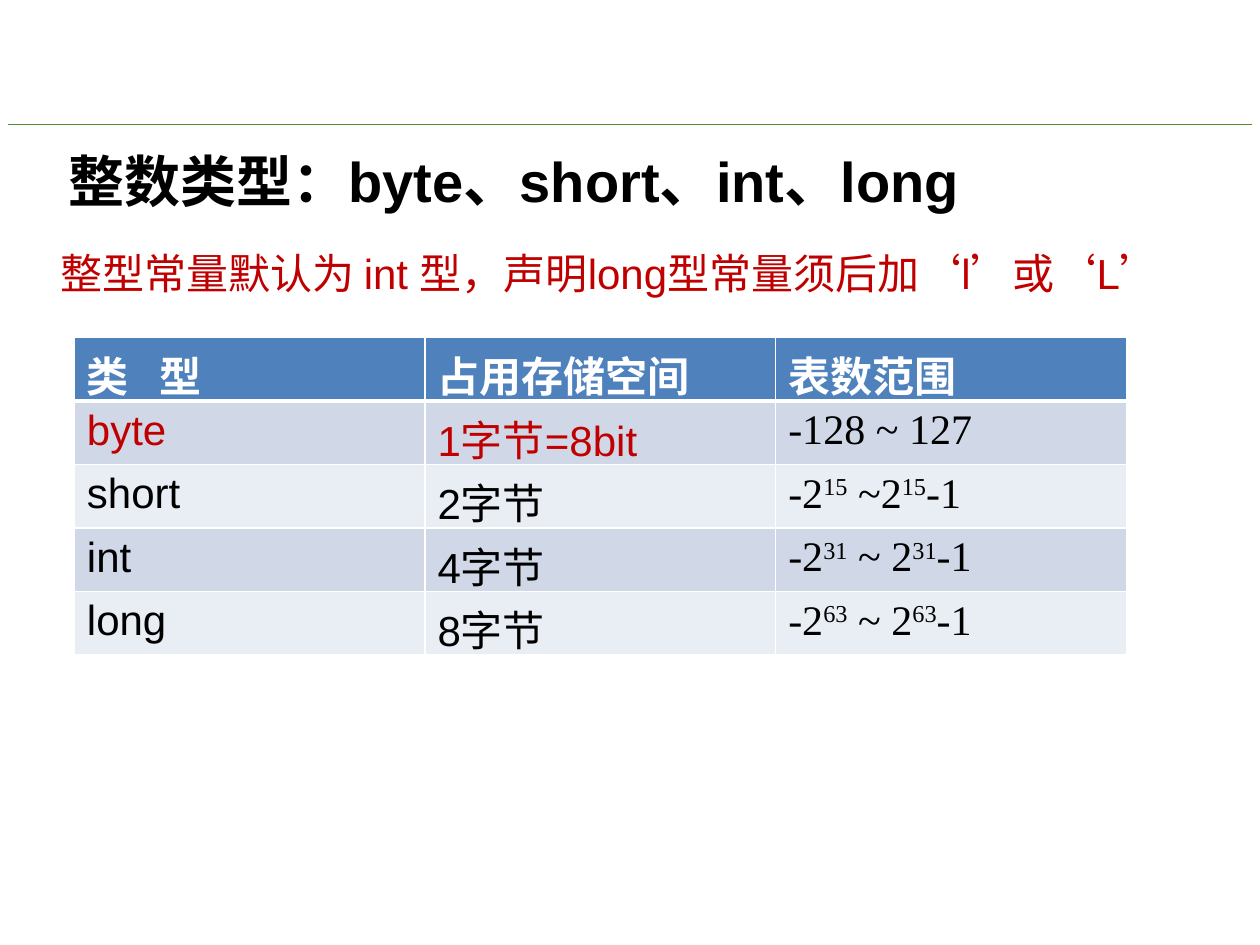
import dataclasses

import lxml.etree
import pptx
import pptx.dml.color
import pptx.enum.shapes
import pptx.enum.text
import pptx.oxml.ns
import pptx.util


@dataclasses.dataclass(frozen=True)
class Theme:
    """Colours, typefaces and type sizes of the slide."""

    rule: str = "538C2E"
    ink: str = "000000"
    accent: str = "C00000"
    white: str = "FFFFFF"
    header: str = "4F81BD"
    bands: tuple = ("D0D8E8", "E9EDF4")
    sans: str = "Arial"
    serif: str = "Times New Roman"
    title_size: int = 32
    text_size: int = 24


THEME = Theme()
WIDTH = pptx.util.Inches(10)
HEIGHT = pptx.util.Inches(7.5)
HEADINGS = ([("类", {}), (" ", {"spc": "1200"}), ("型", {})], "占用存储空间", "表数范围")
TYPES = (("byte", "1字节=8bit"), ("short", "2字节"), ("int", "4字节"), ("long", "8字节"))


def color(value):
    """Return the RGB colour for a hex value."""
    return pptx.dml.color.RGBColor.from_string(value)


def write(paragraph, content, size, face, ink, bold=False):
    """Fill a paragraph with plain text or with (text, run attributes) pairs."""
    font = paragraph.font
    font.size, font.name, font.bold = pptx.util.Pt(size), face, bold
    font.color.rgb = color(ink)
    pieces = [(content, {})] if isinstance(content, str) else content
    for text, attributes in pieces:
        run = paragraph.add_run()
        run.text = text
        properties = run.font._element
        for name, value in attributes.items():
            properties.set(name, value)


def add_rule(slide, y):
    """Draw the thin horizontal rule across the slide."""
    margin = round(WIDTH * 0.006)
    rule = slide.shapes.add_connector(
        pptx.enum.shapes.MSO_CONNECTOR.STRAIGHT, margin, y, WIDTH - margin, y
    )
    rule.line.color.rgb = color(THEME.rule)
    rule.line.width = pptx.util.Pt(0.5)
    lxml.etree.SubElement(rule._element.spPr, pptx.oxml.ns.qn("a:effectLst"))


def add_text(slide, left, top, width, height, content, size, ink, bold, anchor):
    """Add a wrapped text box whose place is given in inches."""
    place = [pptx.util.Inches(value) for value in (left, top, width, height)]
    frame = slide.shapes.add_textbox(*place).text_frame
    frame.word_wrap = True
    frame.margin_left = frame.margin_right = 0
    frame.vertical_anchor = anchor
    paragraph = frame.paragraphs[0]
    paragraph.line_spacing = 0.9
    write(paragraph, content, size, THEME.sans, ink, bold)


def set_borders(cell, top, bottom):
    """Draw white borders, with the top and bottom widths in points."""
    properties = cell._tc.get_or_add_tcPr()
    widths = {"lnL": 1, "lnR": 1, "lnT": top, "lnB": bottom}
    for position, (side, width) in enumerate(widths.items()):
        line = lxml.etree.Element(
            pptx.oxml.ns.qn(f"a:{side}"), w=str(pptx.util.Pt(width))
        )
        fill = lxml.etree.SubElement(line, pptx.oxml.ns.qn("a:solidFill"))
        lxml.etree.SubElement(fill, pptx.oxml.ns.qn("a:srgbClr"), val=THEME.white)
        properties.insert(position, line)


def power_range(exponent, separator):
    """Return the range of a signed integer with raised exponents."""
    raised = (str(exponent), {"baseline": "30000"})
    return [("-2", {}), raised, (separator + "2", {}), raised, ("-1", {})]


def add_type_table(slide):
    """Add the table of integer types, their storage and their ranges."""
    ranges = (
        "-128 ~ 127",
        power_range(15, " ~"),
        power_range(31, " ~ "),
        power_range(63, " ~ "),
    )
    rows = [HEADINGS] + [(*kind, span) for kind, span in zip(TYPES, ranges)]
    place = [pptx.util.Inches(value) for value in (0.59, 2.68, 8.35, 2.52)]
    table = slide.shapes.add_table(len(rows), len(HEADINGS), *place).table
    table.first_row = table.horz_banding = False
    for row, contents in enumerate(rows):
        is_header = row == 0
        for column, content in enumerate(contents):
            is_range = column == len(HEADINGS) - 1
            face = THEME.serif if is_header or is_range else THEME.sans
            ink = THEME.accent if row == 1 and not is_range else THEME.ink
            cell = table.cell(row, column)
            cell.fill.solid()
            cell.fill.fore_color.rgb = color(
                THEME.header if is_header else THEME.bands[(row - 1) % 2]
            )
            set_borders(cell, 3 if row == 1 else 1, 3 if is_header else 1)
            write(
                cell.text_frame.paragraphs[0], content, THEME.text_size, face,
                THEME.white if is_header else ink, is_header,
            )


def main():
    """Build the slide on integer types and save it."""
    deck = pptx.Presentation()
    deck.slide_width, deck.slide_height = WIDTH, HEIGHT
    slide = deck.slides.add_slide(deck.slide_layouts[6])
    add_rule(slide, round(HEIGHT * 0.132))
    add_text(
        slide, 0.54, 0.74, 8.92, 1.45, "整数类型：byte、short、int、long",
        THEME.title_size, THEME.ink, True, pptx.enum.text.MSO_ANCHOR.MIDDLE,
    )
    add_text(
        slide, 0.48, 1.96, 9.5, 0.6,
        "整型常量默认为 int 型，声明long型常量须后加‘l’或‘L’",
        THEME.text_size, THEME.accent, False, pptx.enum.text.MSO_ANCHOR.TOP,
    )
    add_type_table(slide)
    deck.save("out.pptx")


if __name__ == "__main__":
    main()
